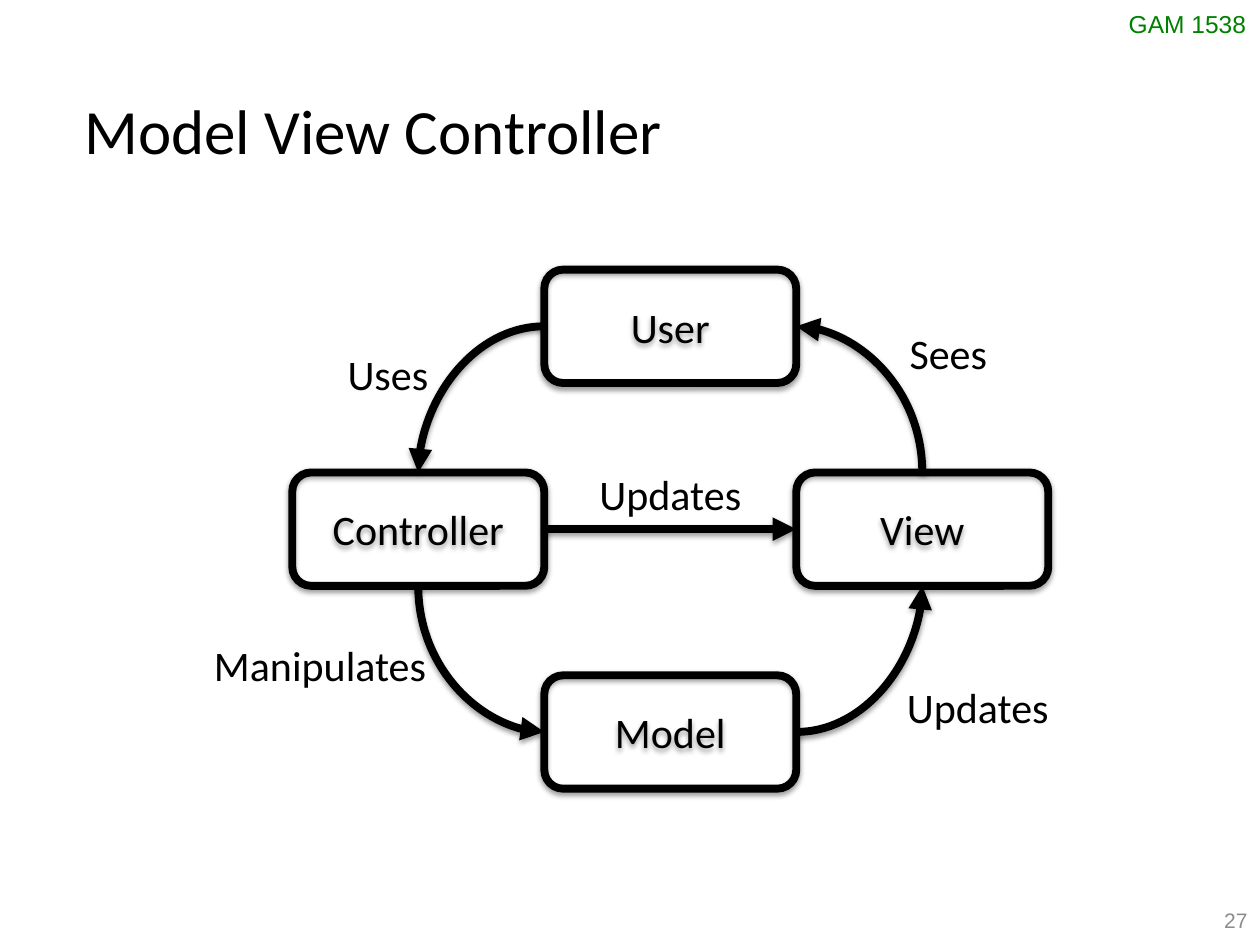
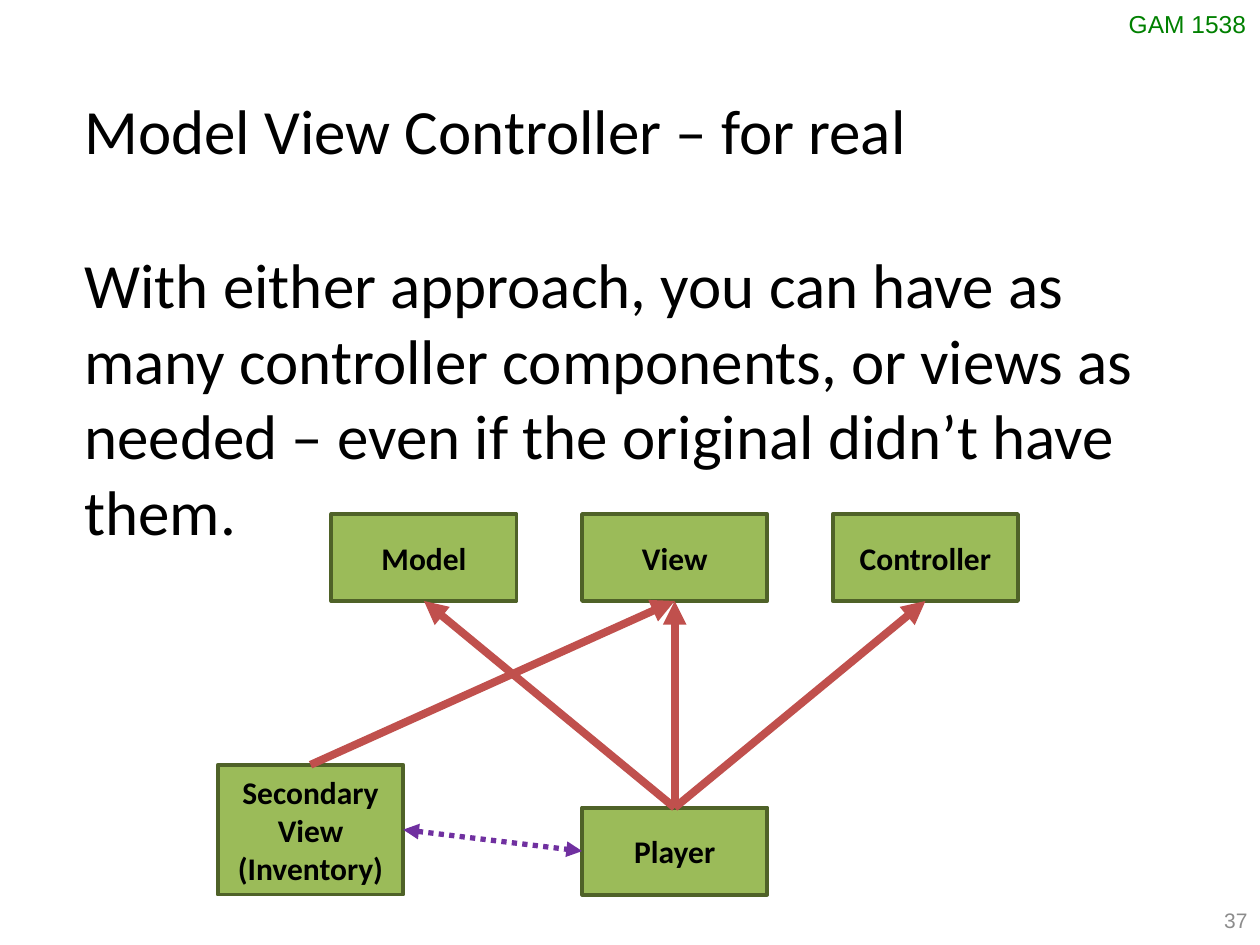
from lxml.etree import SubElement
from pptx import Presentation
from pptx.dml.color import RGBColor
from pptx.enum.dml import MSO_LINE
from pptx.enum.shapes import MSO_CONNECTOR, MSO_SHAPE
from pptx.enum.text import MSO_ANCHOR, MSO_AUTO_SIZE, PP_ALIGN
from pptx.oxml.ns import qn
from pptx.util import Inches, Pt

BLACK, GREEN, GRAY = "000000", "008000", "8C8C8C"
BOX_FILL, BOX_LINE = "9BBB59", "4F6228"
RED, PURPLE = "C0504D", "7030A0"
TOP, LEFT, BOTTOM, RIGHT = range(4)
TITLE_ONLY, TITLE_AND_BODY = 5, 1


def rgb(value):
    """Turn a hex string into a colour."""
    return RGBColor.from_string(value)


def write(frame, text, size, color=BLACK, font="Calibri", align=PP_ALIGN.LEFT, bold=False):
    """Fill a text frame with evenly formatted paragraphs."""
    frame.text = text
    for paragraph in frame.paragraphs:
        paragraph.alignment = align
        paragraph.space_before = Pt(0)
        paragraph.font.size = Pt(size)
        paragraph.font.name = font
        paragraph.font.bold = bold
        paragraph.font.color.rgb = rgb(color)


def set_effects(shape, shadowed):
    """Give a shape a soft shadow below it, or no effect at all."""
    effects = SubElement(shape.element.spPr, qn("a:effectLst"))
    if shadowed:
        shadow = SubElement(effects, qn("a:outerShdw"), blurRad=str(Pt(3.1)),
                            dist=str(Pt(1.6)), dir="5400000", rotWithShape="0")
        color = SubElement(shadow, qn("a:srgbClr"), val=BLACK)
        SubElement(color, qn("a:alpha"), val="38000")


def add_label(page, text, left, top, width, height, size=24, **style):
    """Add a one-line text box that fits its text."""
    label = page.shapes.add_textbox(Inches(left), Inches(top), Inches(width), Inches(height))
    write(label.text_frame, text, size, **style)
    label.text_frame.word_wrap = False
    label.text_frame.auto_size = MSO_AUTO_SIZE.SHAPE_TO_FIT_TEXT


def fill_placeholder(placeholder, text, top, height):
    """Move a placeholder into the text column and fill it."""
    placeholder.left, placeholder.top = Inches(0.57), Inches(top)
    placeholder.width, placeholder.height = Inches(8.87), Inches(height)
    frame = placeholder.text_frame
    frame.auto_size = MSO_AUTO_SIZE.NONE
    frame.vertical_anchor = MSO_ANCHOR.TOP
    write(frame, text, 36)


def add_page(deck, layout, title, number):
    """Add a slide with the course code, page number and title."""
    page = deck.slides.add_slide(deck.slide_layouts[layout])
    fill_placeholder(page.shapes.title, title, 0.68, 0.71)
    add_label(page, "GAM 1538", 8.86, 0.02, 1.14, 0.34, 14, color=GREEN, font="Arial")
    box = page.shapes.add_textbox(Inches(7.67), Inches(7.1), Inches(2.33), Inches(0.4))
    box.text_frame.word_wrap = True
    box.text_frame.vertical_anchor = MSO_ANCHOR.MIDDLE
    write(box.text_frame, number, 12, GRAY, "Arial", PP_ALIGN.RIGHT)
    return page


def add_body(page, text):
    """Fill the body placeholder with one unbulleted paragraph."""
    body = page.placeholders[1]
    fill_placeholder(body, text, 1.9, 2.52)
    properties = body.text_frame.paragraphs[0]._p.get_or_add_pPr()
    properties.set("marL", "0")
    properties.set("indent", "0")
    SubElement(properties, qn("a:buNone"))


def add_box(page, kind, text, left, top, width, height, size, line, line_width,
            fill=None, bold=False):
    """Add an outlined box with centred text; an unfilled one has a shadow."""
    box = page.shapes.add_shape(kind, Inches(left), Inches(top), Inches(width), Inches(height))
    if fill:
        box.fill.solid()
        box.fill.fore_color.rgb = rgb(fill)
    else:
        box.fill.background()
    box.line.color.rgb = rgb(line)
    box.line.width = Pt(line_width)
    set_effects(box, fill is None)
    box.text_frame.vertical_anchor = MSO_ANCHOR.MIDDLE
    write(box.text_frame, text, size, align=PP_ALIGN.CENTER, bold=bold)
    return box


def add_role(page, text, left, top):
    """Add a rounded box for one part of the pattern."""
    return add_box(page, MSO_SHAPE.ROUNDED_RECTANGLE, text, left, top, 2, 0.9, 24, BLACK, 4.5)


def add_component(page, text, left, top, height=0.69):
    """Add a green box for one game component."""
    return add_box(page, MSO_SHAPE.RECTANGLE, text, left, top, 1.47, height, 18,
                   BOX_LINE, 2.25, BOX_FILL, True)


def add_arrow(page, start, start_side, end, end_side, color=BLACK, width=4.5,
              heads=("tailEnd",), curved=False, shadowed=False, dash=None):
    """Connect two boxes with a straight or quarter-curve arrow."""
    kind = MSO_CONNECTOR.CURVE if curved else MSO_CONNECTOR.STRAIGHT
    arrow = page.shapes.add_connector(kind, 0, 0, 0, 0)
    arrow.begin_connect(start, start_side)
    arrow.end_connect(end, end_side)
    properties = arrow.element.spPr
    if curved:
        properties.find(qn("a:prstGeom")).set("prst", "curvedConnector2")
    arrow.line.color.rgb = rgb(color)
    arrow.line.width = Pt(width)
    if dash:
        arrow.line.dash_style = dash
    for head in heads:
        SubElement(properties.find(qn("a:ln")), qn(f"a:{head}"), type="triangle")
    set_effects(arrow, shadowed)


def build_cycle_page(deck):
    """Draw the cycle between user, controller, model and view."""
    page = add_page(deck, TITLE_ONLY, "Model View Controller", "27")
    controller = add_role(page, "Controller", 2.32, 3.75)
    model = add_role(page, "Model", 4.32, 5.36)
    view = add_role(page, "View", 6.32, 3.75)
    user = add_role(page, "User", 4.32, 2.14)
    curves = [
        (user, RIGHT, view, TOP, "headEnd"),
        (user, LEFT, controller, TOP, "tailEnd"),
        (model, LEFT, controller, BOTTOM, "headEnd"),
        (model, RIGHT, view, BOTTOM, "tailEnd"),
    ]
    for start, start_side, end, end_side, head in curves:
        add_arrow(page, start, start_side, end, end_side, heads=(head,),
                  curved=True, shadowed=True)
    add_arrow(page, controller, RIGHT, view, LEFT, shadowed=True)
    labels = [
        ("Sees", 7.12, 2.55, 0.82),
        ("Uses", 2.66, 2.72, 0.85),
        ("Updates", 4.66, 3.67, 1.34),
        ("Updates", 7.1, 5.36, 1.34),
        ("Manipulates", 1.6, 5.03, 1.9),
    ]
    for text, left, top, width in labels:
        add_label(page, text, left, top, width, 0.5)


def build_components_page(deck):
    """Draw a player and a second view sharing the components."""
    page = add_page(deck, TITLE_AND_BODY, "Model View Controller – for real", "37")
    add_body(page, "With either approach, you can have as many controller components, "
                   "or views as needed – even if the original didn’t have them.")
    parts = [add_component(page, text, 2.63 + 1.99 * column, 4.08)
             for column, text in enumerate(("Model", "View", "Controller"))]
    player = add_component(page, "Player", 4.62, 6.41)
    inventory = add_component(page, "Secondary\vView\n(Inventory)", 1.73, 6.07, 1.03)
    for part in parts:
        add_arrow(page, player, TOP, part, BOTTOM, RED)
    add_arrow(page, inventory, TOP, parts[1], BOTTOM, RED)
    add_arrow(page, inventory, RIGHT, player, LEFT, PURPLE, 3,
              ("headEnd", "tailEnd"), dash=MSO_LINE.ROUND_DOT)


def main():
    """Build both slides and save the deck."""
    deck = Presentation()
    deck.slide_width, deck.slide_height = Inches(10), Inches(7.5)
    build_cycle_page(deck)
    build_components_page(deck)
    deck.save("out.pptx")


if __name__ == "__main__":
    main()
